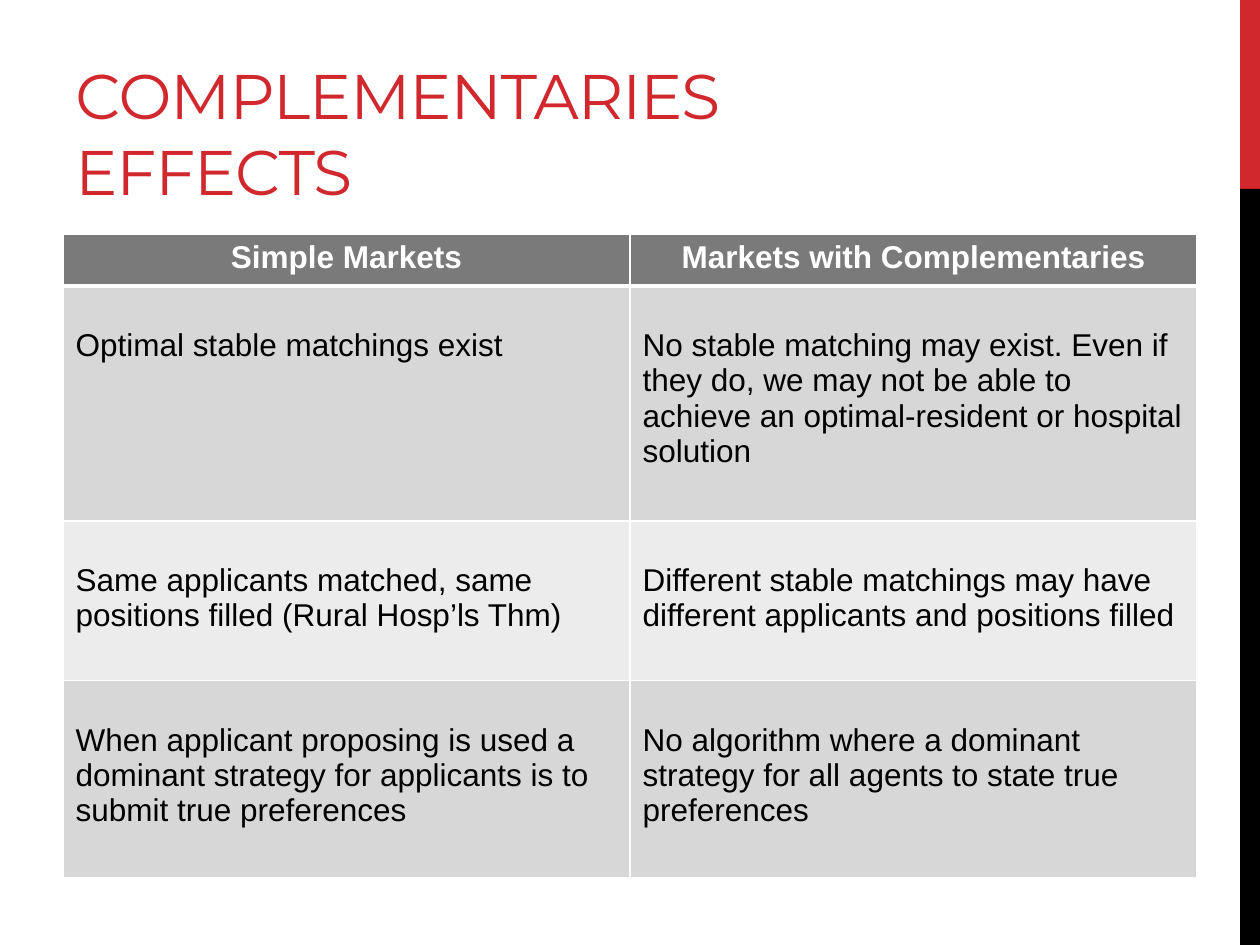
from lxml.etree import SubElement
from pptx import Presentation
from pptx.dml.color import RGBColor
from pptx.enum.shapes import MSO_SHAPE
from pptx.enum.text import MSO_ANCHOR, PP_ALIGN
from pptx.oxml.ns import qn
from pptx.util import Emu, Pt

EMU_PER_PX = 914400 / 126

RED = RGBColor(0xD1, 0x28, 0x2E)
BLACK = RGBColor(0x00, 0x00, 0x00)
WHITE = RGBColor(0xFF, 0xFF, 0xFF)
HEADER_GRAY = RGBColor(0x7A, 0x7A, 0x7A)
DARK_BAND = RGBColor(0xD7, 0xD7, 0xD7)
LIGHT_BAND = RGBColor(0xEC, 0xEC, 0xEC)

COLUMN_WIDTH = 567
ROW_HEIGHTS = [52, 224, 154, 188]
BODY_MARGIN = 42
HEADER_MARGIN = 6

ROWS = [
    ("Simple Markets", "Markets with Complementaries"),
    ("Optimal stable matchings exist",
     "No stable matching may exist. Even if they do, we may not be able to "
     "achieve an optimal-resident or hospital solution"),
    ("Same applicants matched, same positions filled (Rural Hosp’ls Thm)",
     "Different stable matchings may have different applicants and positions filled"),
    ("When applicant proposing is used a dominant strategy for applicants is to "
     "submit true preferences",
     "No algorithm where a dominant strategy for all agents to state true preferences"),
]


def px(length):
    return Emu(round(length * EMU_PER_PX))


def add_span(para, text, font_name, size, color, bold=False):
    span = para.add_run()
    span.text = text
    span.font.name = font_name
    span.font.size = Pt(size)
    span.font.bold = bold
    span.font.color.rgb = color
    return span


def add_bar(page, left, top, width, height, color):
    bar = page.shapes.add_shape(
        MSO_SHAPE.RECTANGLE, px(left), px(top), px(width), px(height))
    bar.shadow.inherit = False
    bar.fill.solid()
    bar.fill.fore_color.rgb = color
    bar.line.fill.background()


def add_title(page, text):
    box = page.shapes.add_textbox(px(63), px(21), px(798), px(189))
    frame = box.text_frame
    frame.word_wrap = True
    frame.vertical_anchor = MSO_ANCHOR.BOTTOM
    frame.margin_bottom = px(2)
    span = add_span(frame.paragraphs[0], text, "Montserrat", 36, RED)
    span.font._element.set("spc", "-60")


def set_borders(cell, widths):
    properties = cell._tc.get_or_add_tcPr()
    for side, width in widths.items():
        line = SubElement(properties, qn(f"a:{side}"), w=str(Pt(width)))
        fill = SubElement(line, qn("a:solidFill"))
        SubElement(fill, qn("a:srgbClr"), val=str(WHITE))


def fill_cell(cell, text, row_index):
    is_header = row_index == 0
    # Borders come before the fill in the cell properties
    set_borders(cell, {
        "lnL": 1,
        "lnR": 1,
        "lnT": 3 if row_index == 1 else 1,
        "lnB": 3 if is_header else 1,
    })
    cell.fill.solid()
    if is_header:
        cell.fill.fore_color.rgb = HEADER_GRAY
    else:
        cell.fill.fore_color.rgb = DARK_BAND if row_index % 2 else LIGHT_BAND
    cell.margin_top = cell.margin_bottom = px(
        HEADER_MARGIN if is_header else BODY_MARGIN)
    para = cell.text_frame.paragraphs[0]
    para.alignment = PP_ALIGN.CENTER if is_header else PP_ALIGN.LEFT
    add_span(para, text, "Arial", 18, WHITE if is_header else BLACK, is_header)


def add_comparison_table(page):
    table = page.shapes.add_table(
        len(ROWS), 2, px(63), px(234),
        px(2 * COLUMN_WIDTH), px(sum(ROW_HEIGHTS))).table
    for column in table.columns:
        column.width = px(COLUMN_WIDTH)
    for row_index, (texts, height) in enumerate(zip(ROWS, ROW_HEIGHTS)):
        table.rows[row_index].height = px(height)
        for column_index, text in enumerate(texts):
            fill_cell(table.cell(row_index, column_index), text, row_index)


def main():
    deck = Presentation()
    deck.slide_width, deck.slide_height = px(1260), px(945)
    page = deck.slides.add_slide(deck.slide_layouts[6])

    # Side bars
    add_bar(page, 1240, 0, 20, 189, RED)
    add_bar(page, 1240, 189, 20, 756, BLACK)

    # Title and comparison
    add_title(page, "COMPLEMENTARIES EFFECTS")
    add_comparison_table(page)

    deck.save("out.pptx")


if __name__ == "__main__":
    main()
